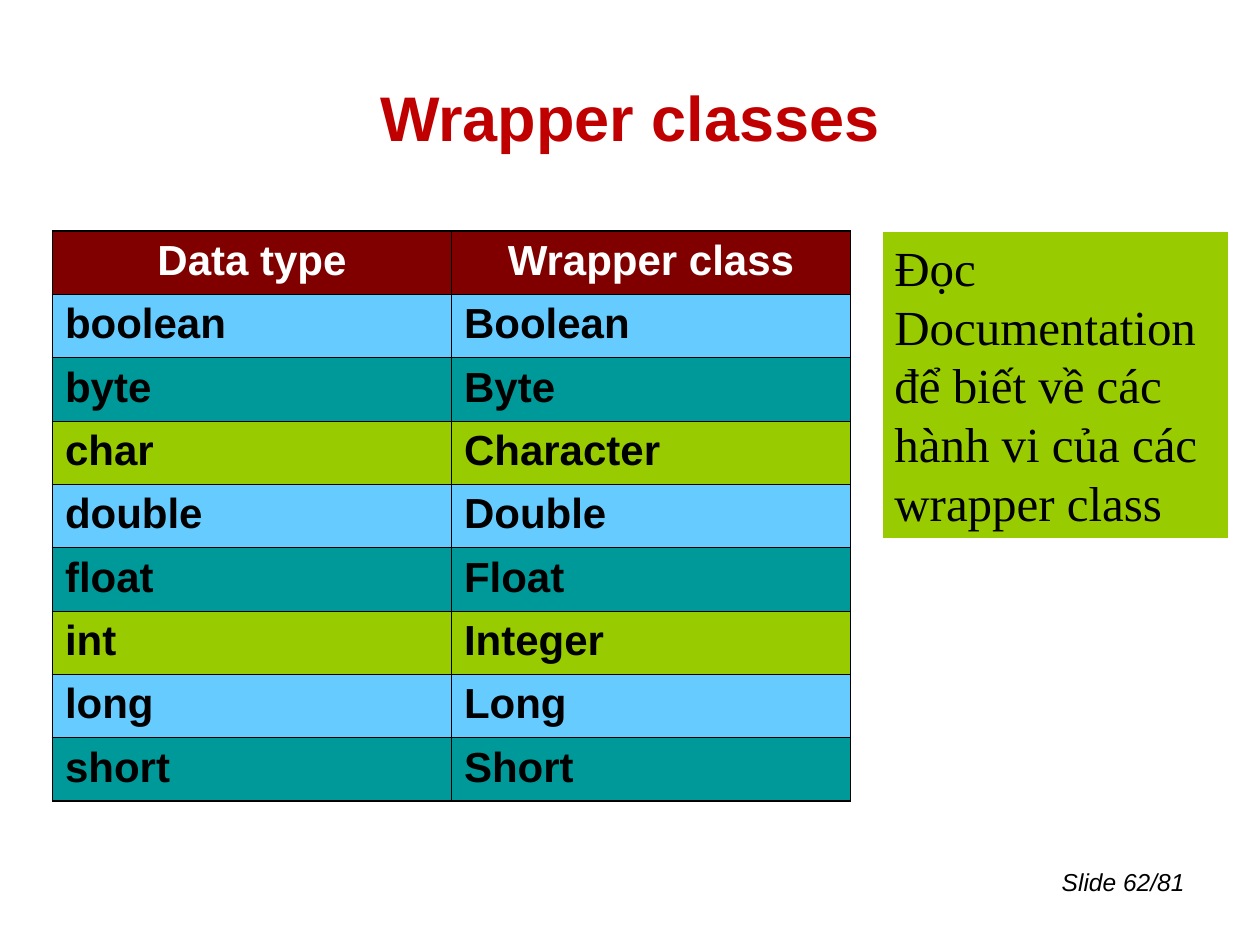
from dataclasses import dataclass

import pptx
import pptx.dml.color
import pptx.enum.shapes
import pptx.enum.text
import pptx.oxml
import pptx.oxml.ns
import pptx.util

Pt = pptx.util.Pt
Align = pptx.enum.text.PP_ALIGN
Anchor = pptx.enum.text.MSO_ANCHOR

COLORS = {
    "black": "000000",
    "white": "FFFFFF",
    "title": "C00000",
    "header": "800000",
    "blue": "66CCFF",
    "teal": "009999",
    "green": "99CC00",
}
ROW_COLORS = ("blue", "teal", "green")
ROWS = (
    ("Data type", "Wrapper class"),
    ("boolean", "Boolean"),
    ("byte", "Byte"),
    ("char", "Character"),
    ("double", "Double"),
    ("float", "Float"),
    ("int", "Integer"),
    ("long", "Long"),
    ("short", "Short"),
)
COLUMN_WIDTH = 228
ROW_HEIGHT = 36.2
OUTER_LINE = 1.08
INNER_LINE = 0.45


@dataclass(frozen=True)
class TextStyle:
    size: float
    color: str
    font: str = "Arial"
    bold: bool = False
    italic: bool = False
    align: Align = Align.LEFT


@dataclass(frozen=True)
class Panel:
    text: str
    left: float
    top: float
    width: float
    height: float
    style: TextStyle
    anchor: Anchor = Anchor.TOP
    fill: str = ""


PANELS = (
    Panel("Slide 62/81", 570.2, 491.8, 113.8, 37.4,
          TextStyle(14, "black", italic=True, align=Align.RIGHT)),
    Panel("Wrapper classes", 36, 21.6, 648, 90,
          TextStyle(36, "title", bold=True, align=Align.CENTER), Anchor.MIDDLE),
    Panel("Đọc Documentation để biết về các hành vi của các wrapper class",
          504, 132, 198, 175.7, TextStyle(28, "black", "Times New Roman"), fill="green"),
)


def rgb(name: str) -> pptx.dml.color.RGBColor:
    return pptx.dml.color.RGBColor.from_string(COLORS[name])


def write_text(frame, text: str, style: TextStyle) -> None:
    para = frame.paragraphs[0]
    para.alignment = style.align
    span = para.add_run()
    span.text = text
    span.font.name = style.font
    span.font.size = Pt(style.size)
    span.font.bold = style.bold
    span.font.italic = style.italic
    span.font.color.rgb = rgb(style.color)


def draw_panel(page, panel: Panel) -> None:
    area = [Pt(value) for value in (panel.left, panel.top, panel.width, panel.height)]
    if panel.fill:
        box = page.shapes.add_shape(pptx.enum.shapes.MSO_SHAPE.RECTANGLE, *area)
        box.shadow.inherit = False
        box.fill.solid()
        box.fill.fore_color.rgb = rgb(panel.fill)
        box.line.color.rgb = rgb("white")
        box.line.width = Pt(0.75)
    else:
        box = page.shapes.add_textbox(*area)
    box.text_frame.word_wrap = True
    box.text_frame.vertical_anchor = panel.anchor
    write_text(box.text_frame, panel.text, panel.style)


def draw_borders(cell, outer_sides: dict[str, bool]) -> None:
    properties = cell._tc.get_or_add_tcPr()
    for side, is_outer in outer_sides.items():
        width = int(Pt(OUTER_LINE if is_outer else INNER_LINE))
        properties.append(pptx.oxml.parse_xml(
            f'<a:ln{side} {pptx.oxml.ns.nsdecls("a")} w="{width}"><a:solidFill>'
            f'<a:srgbClr val="{COLORS["black"]}"/></a:solidFill></a:ln{side}>'
        ))


def draw_table(page, left: float, top: float) -> None:
    columns = len(ROWS[0])
    table = page.shapes.add_table(
        len(ROWS), columns, Pt(left), Pt(top),
        Pt(columns * COLUMN_WIDTH), Pt(len(ROWS) * ROW_HEIGHT),
    ).table
    table.horz_banding = False
    for column in table.columns:
        column.width = Pt(COLUMN_WIDTH)
    header_style = TextStyle(24, "white", bold=True, align=Align.CENTER)
    body_style = TextStyle(24, "black", bold=True)
    for row, labels in enumerate(ROWS):
        table.rows[row].height = Pt(ROW_HEIGHT)
        fill = ROW_COLORS[(row - 1) % len(ROW_COLORS)] if row else "header"
        for column, label in enumerate(labels):
            cell = table.cell(row, column)
            draw_borders(cell, {
                "L": column == 0,
                "R": column == columns - 1,
                "T": row == 0,
                "B": row == len(ROWS) - 1,
            })
            cell.fill.solid()
            cell.fill.fore_color.rgb = rgb(fill)
            write_text(cell.text_frame, label, body_style if row else header_style)


def main() -> None:
    deck = pptx.Presentation()
    deck.slide_width = Pt(720)
    deck.slide_height = Pt(540)
    page = deck.slides.add_slide(deck.slide_layouts[6])
    footer, title, note = PANELS
    draw_panel(page, footer)
    draw_panel(page, title)
    draw_table(page, 30, 132)
    draw_panel(page, note)
    deck.save("out.pptx")


if __name__ == "__main__":
    main()
